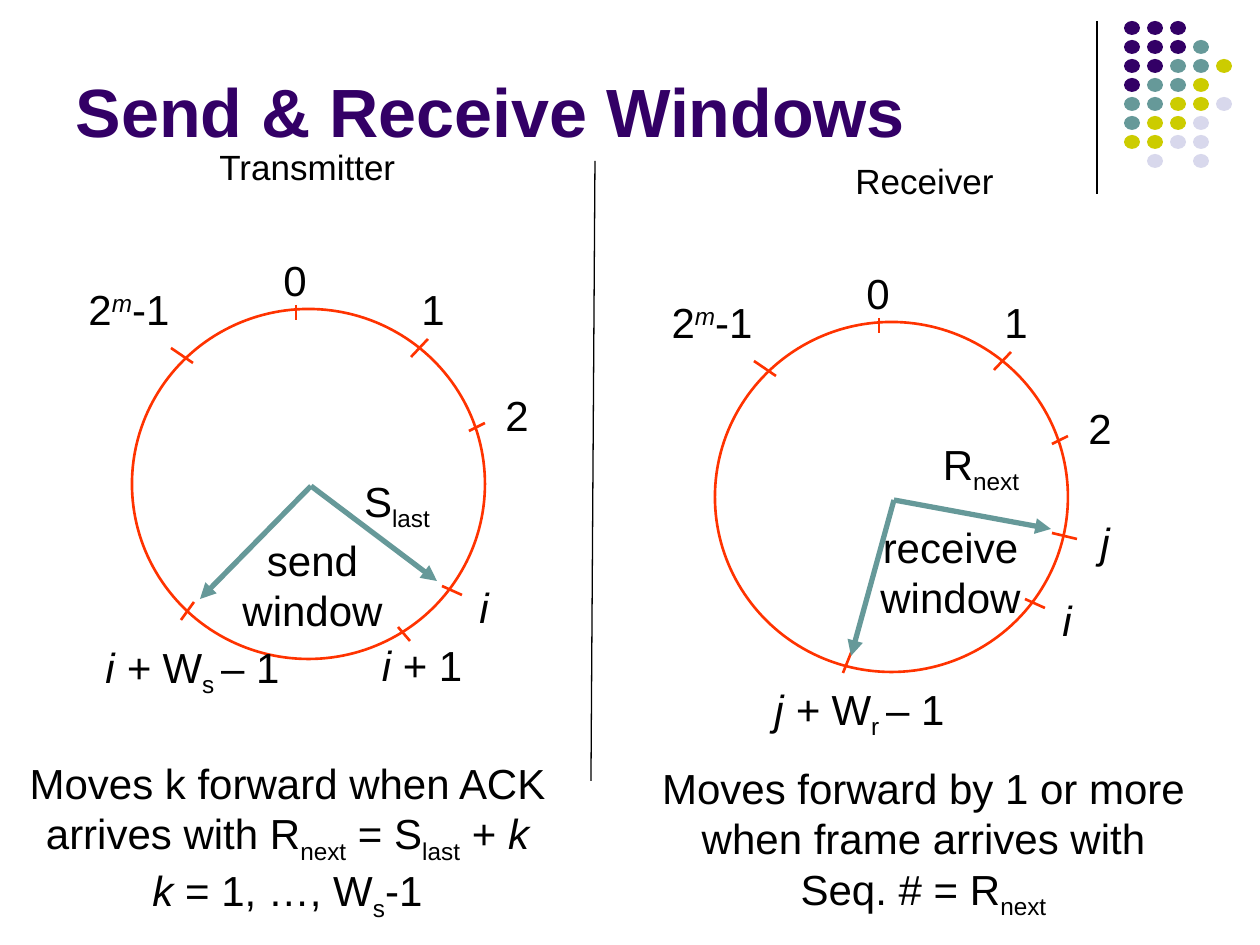
from lxml.etree import SubElement
from pptx import Presentation
from pptx.dml.color import RGBColor
from pptx.enum.shapes import MSO_CONNECTOR, MSO_SHAPE
from pptx.enum.text import MSO_ANCHOR, MSO_AUTO_SIZE, PP_ALIGN
from pptx.oxml.ns import qn
from pptx.util import Emu, Pt

PX = 914400 / 126
COLORS = {"P": "330066", "T": "669999", "Y": "CCCC00", "L": "D8D8EC",
          "text": "000000", "ring": "FF3300"}
BASELINES = {"sub": "-25000", "sup": "30000"}


def add_line(x1, y1, x2, y2, color, width, arrow=False):
    ends = [Emu(round(v * PX)) for v in (x1, y1, x2, y2)]
    line = s.shapes.add_connector(MSO_CONNECTOR.STRAIGHT, *ends)
    line.line.color.rgb = RGBColor.from_string(COLORS[color])
    line.line.width = Pt(width)
    if arrow:
        SubElement(line._element.spPr.find(qn("a:ln")), qn("a:tailEnd"), type="triangle")
    SubElement(line._element.spPr, qn("a:effectLst"))


def add_text(x, y, w, h, paragraphs, size=24, align=PP_ALIGN.CENTER, wrap=False):
    sp = s.shapes.add_textbox(*[Emu(round(v * PX)) for v in (x, y, w, h)])
    tf = sp.text_frame
    tf.word_wrap = wrap
    tf.auto_size = MSO_AUTO_SIZE.SHAPE_TO_FIT_TEXT
    for n, runs in enumerate(paragraphs):
        p = tf.add_paragraph() if n else tf.paragraphs[0]
        p.alignment = align
        p.font.size = Pt(size)
        p.font.name = "Arial"
        p.font.color.rgb = RGBColor.from_string(COLORS["text"])
        for text, style in runs:
            if text == "\n":
                p.add_line_break()
                continue
            r = p.add_run()
            r.text = text
            if style in ("i", "sup"):
                r.font.italic = True
            if style in BASELINES:
                r.font._element.set("baseline", BASELINES[style])


prs = Presentation()
prs.slide_width = Emu(round(1260 * PX))
prs.slide_height = Emu(round(945 * PX))
s = prs.slides.add_slide(prs.slide_layouts[5])

add_line(1097, 21, 1097, 194, "text", 0.75)
dots = ["PPP", "PPPT", "PPTTY", "PTTY", "TTYYL", "TYYL", "YYLL", " L L"]
for row, colors in enumerate(dots):
    for col, color in enumerate(colors):
        if color == " ":
            continue
        box = (1124 + 23 * col, 21 + 19 * row, 16, 14)
        sp = s.shapes.add_shape(MSO_SHAPE.OVAL, *[Emu(round(v * PX)) for v in box])
        sp.shadow.inherit = False
        sp.fill.solid()
        sp.fill.fore_color.rgb = RGBColor.from_string(COLORS[color])
        sp.line.fill.background()

title = s.shapes.title
title.left, title.top, title.width, title.height = [
    Emu(round(v * PX)) for v in (63, 16, 1040, 141)]
tf = title.text_frame
tf.text = "Send & Receive Windows"
tf.auto_size = MSO_AUTO_SIZE.NONE
tf.vertical_anchor = MSO_ANCHOR.BOTTOM
p = tf.paragraphs[0]
p.alignment = PP_ALIGN.LEFT
p.font.size = Pt(39)
p.font.name = "Arial"
p.font.bold = True
p.font.color.rgb = RGBColor.from_string(COLORS["P"])

add_text(207, 139, 203, 54, [[("Transmitter", "")]], 20, PP_ALIGN.LEFT)
add_text(843, 153, 164, 54, [[("Receiver", "")]], 20, PP_ALIGN.LEFT)
add_line(595, 161, 591, 781, "text", 0.75)

ring_labels = [
    (271, 248, 48, [("0", "")]),
    (409, 277, 48, [("1", "")]),
    (493, 383, 48, [("2", "")]),
    (467, 575, 34, [("i", "i")]),
    (76, 277, 106, [("2", ""), ("m", "sup"), ("-1", "")]),
]
ring_ticks = [(296, 305, 296, 320), (428, 339, 411, 357), (485, 423, 469, 431),
              (462, 595, 442, 586), (171, 348, 193, 363)]
for dx, dy in [(0, 0), (583, 13)]:
    box = (132 + dx, 309 + dy, 353, 350)
    sp = s.shapes.add_shape(MSO_SHAPE.OVAL, *[Emu(round(v * PX)) for v in box])
    sp.shadow.inherit = False
    sp.fill.background()
    sp.line.color.rgb = RGBColor.from_string(COLORS["ring"])
    sp.line.width = Pt(1.5)
    for x, y, w, runs in ring_labels:
        add_text(x + dx, y + dy, w, 63, [runs])
    for x1, y1, x2, y2 in ring_ticks:
        add_line(x1 + dx, y1 + dy, x2 + dx, y2 + dy, "ring", 1.5)

window_ticks = [(181, 620, 194, 602), (398, 627, 410, 641),
                (843, 673, 853, 648), (1052, 533, 1077, 539)]
for tick in window_ticks:
    add_line(*tick, "ring", 1.5)

window_arrows = [(311, 486, 437, 581), (311, 486, 200, 599),
                 (894, 500, 1051, 529), (894, 500, 851, 656)]
for arrow in window_arrows:
    add_line(*arrow, "T", 3, arrow=True)

add_text(347, 469, 100, 71, [[("S", ""), ("last", "sub")]])
add_text(230, 528, 165, 113, [[("send", "")], [("window", "")]])
add_text(84, 635, 217, 71,
         [[("i + ", "i"), ("W", ""), ("s ", "sub"), ("– 1", "")]], wrap=True)
add_text(369, 633, 106, 63, [[("i ", "i"), ("+ 1", "")]])
add_text(16, 751, 543, 178, [
    [("Moves k forward when ACK", "")],
    [("arrives with R", ""), ("next", "sub"), (" = S", ""), ("last", "sub"),
     (" + ", ""), ("k", "i")],
    [("k ", "i"), ("= 1, …, W", ""), ("s", "sub"), ("-1", "")],
])

add_text(921, 432, 120, 71, [[("R", ""), ("next", "sub")]])
add_text(868, 515, 165, 113, [[("receive", "")], [("window", "")]])
add_text(1088, 510, 34, 63, [[("j", "i")]])
add_text(752, 677, 215, 71,
         [[("j + ", "i"), ("W", ""), ("r ", "sub"), ("– 1", "")]], wrap=True)
add_text(646, 756, 555, 171, [
    [("Moves forward by 1 or more", ""), ("\n", ""), ("when frame arrives with", ""),
     ("\n", ""), ("Seq. # = R", ""), ("next", "sub")],
], wrap=True)

prs.save("out.pptx")
